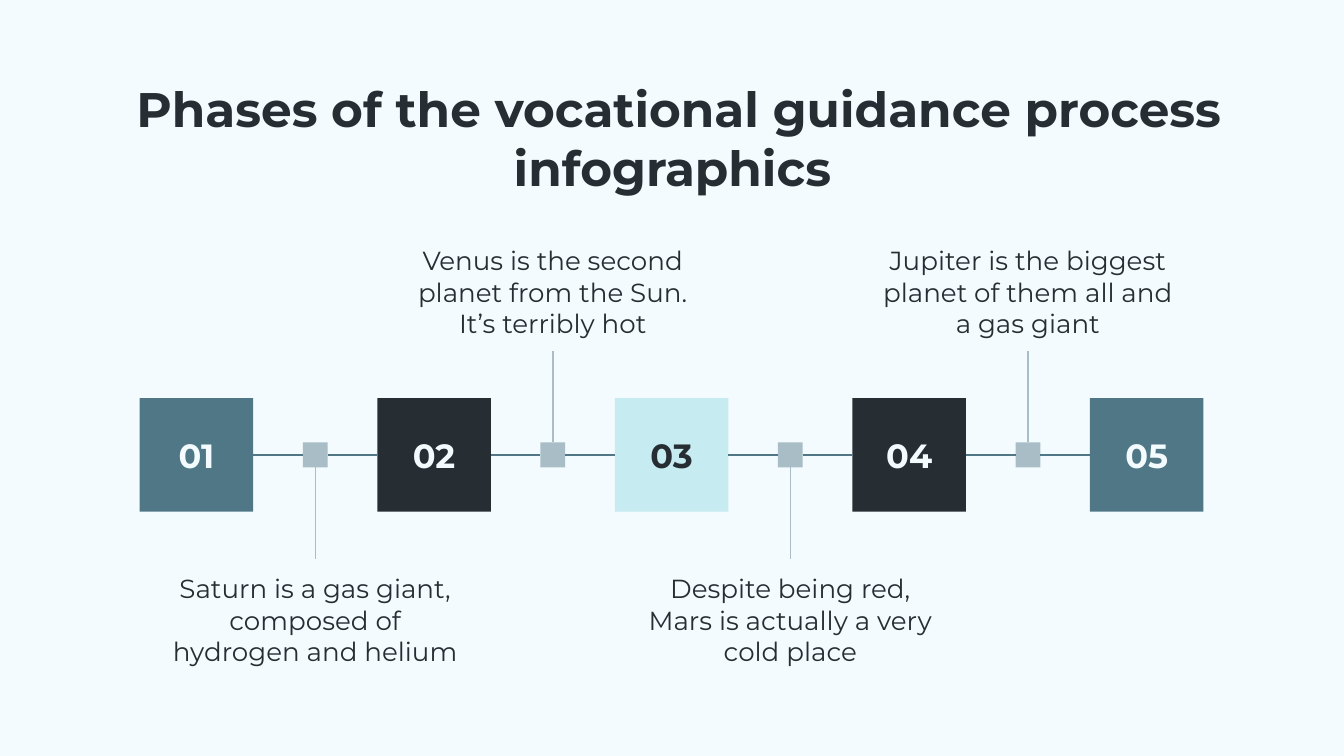
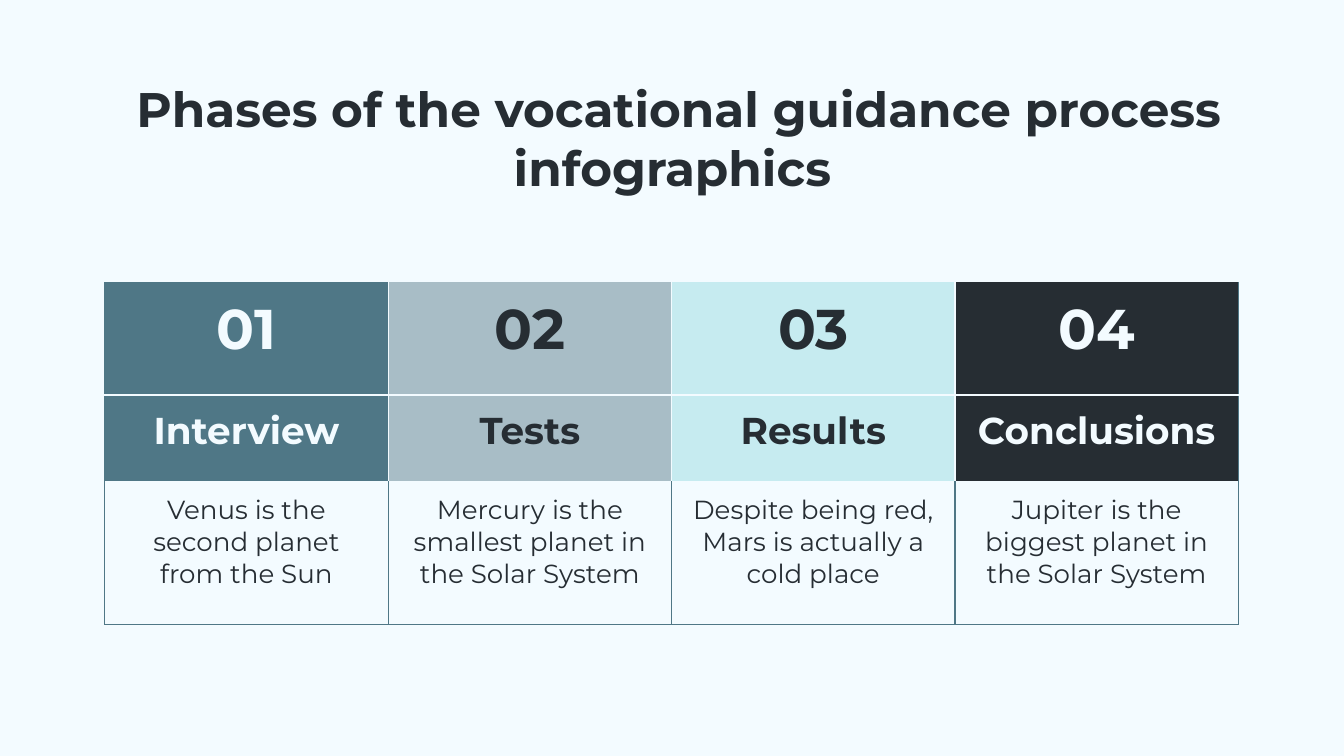
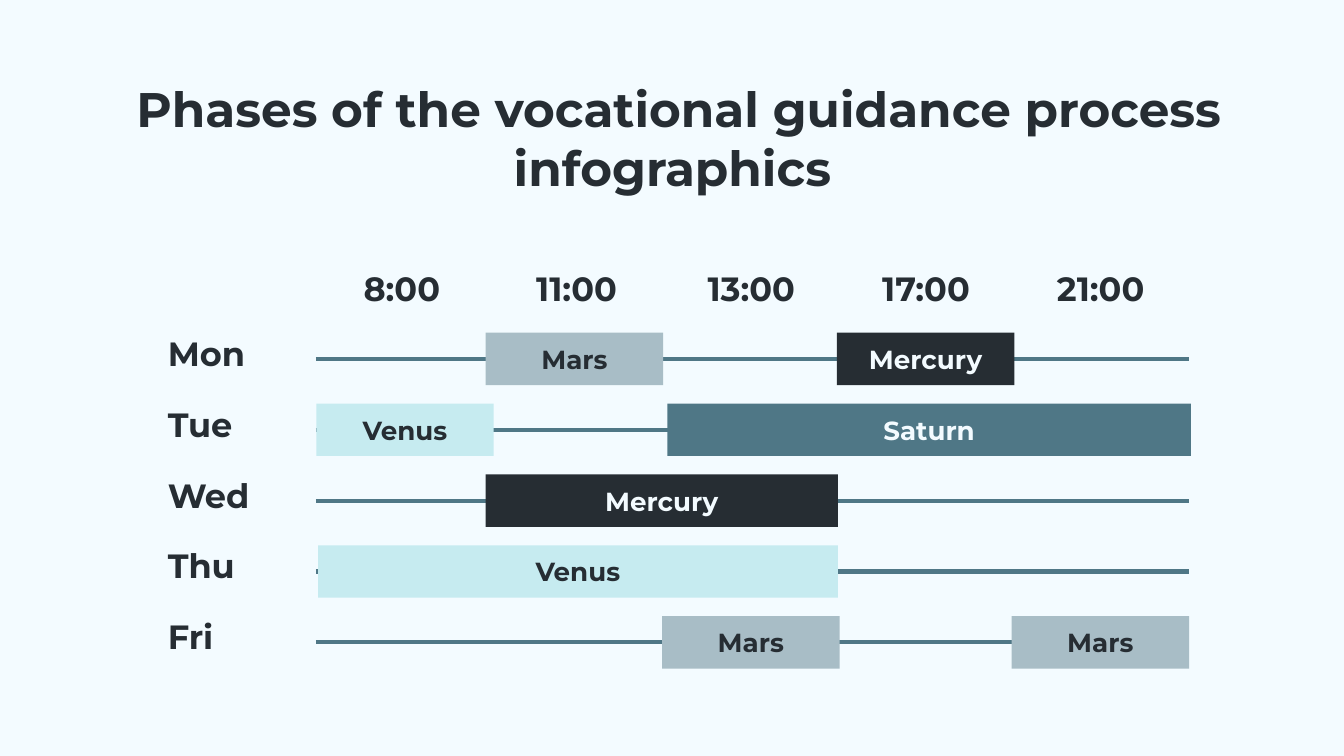
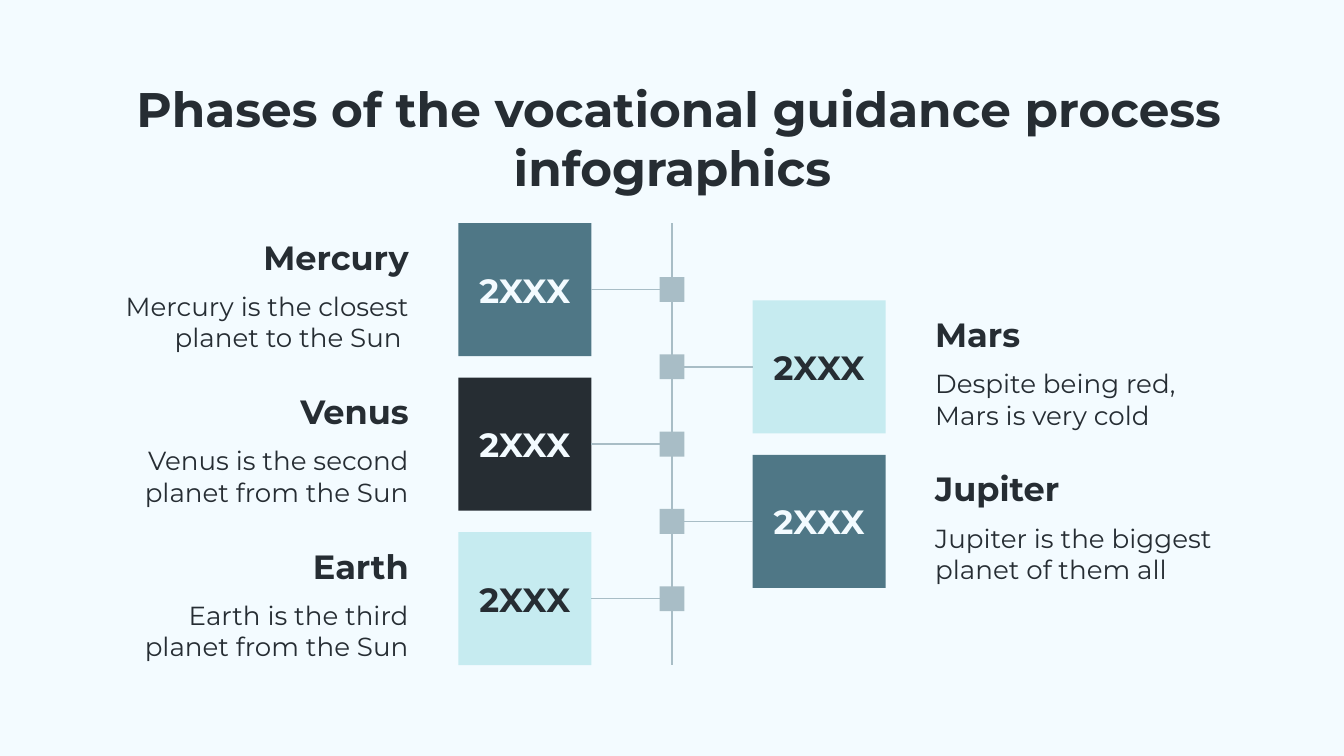
from dataclasses import dataclass

from lxml import etree
from pptx import Presentation
from pptx import util as u
from pptx.dml.color import RGBColor
from pptx.enum import shapes, text
from pptx.oxml.ns import qn


@dataclass(frozen=True)
class Theme:
    font: str = "Montserrat"
    paper: str = "F3FBFF"
    ink: str = "262D33"
    teal: str = "4F7786"
    gray: str = "A8BDC6"
    aqua: str = "C6EBF0"
    title: int = 26
    number: int = 30
    heading: int = 20
    label: int = 18
    body: int = 14
    thin: float = 0.75
    medium: float = 1.5
    thick: float = 2.25

    def on(self, fill):
        return self.paper if fill in (self.teal, self.ink) else self.ink


@dataclass(frozen=True)
class Box:
    left: float
    top: float
    width: float
    height: float

    def inside(self, left, top, width, height):
        return Box(self.left + left, self.top + top, width, height)

    def emu(self):
        return [grid(n) for n in (self.left, self.top, self.width, self.height)]


THEME = Theme()
CELL = 0.25
SLIDE = Box(0, 0, 40, 22.5)
TITLE_BOX = SLIDE.inside(3.16, 1.96, 33.72, 3.92)
TITLE = " Phases of the vocational guidance process infographics"
MARKER = 0.74
TOP, LEFT, BOTTOM, RIGHT = range(4)
START, CENTER, END = text.PP_ALIGN.LEFT, text.PP_ALIGN.CENTER, text.PP_ALIGN.RIGHT
UPPER, MIDDLE = text.MSO_ANCHOR.TOP, text.MSO_ANCHOR.MIDDLE
MARGINS = {f"margin_{side}": u.Inches(0.1) for side in ("left", "right", "top", "bottom")}


def grid(cells):
    return u.Inches(cells * CELL)


def apply(target, values):
    for name, value in values.items():
        setattr(target, name, value)


def write(frame, words, size, color=THEME.ink, bold=False, align=CENTER):
    paragraph = frame.paragraphs[0]
    paragraph.text = words
    paragraph.alignment = align
    apply(paragraph.font, {"name": THEME.font, "size": u.Pt(size), "bold": bold})
    paragraph.font.color.rgb = RGBColor.from_string(color)


def add_text(slide, box, words, size, anchor=UPPER, **style):
    shape = slide.shapes.add_textbox(*box.emu())
    apply(shape.text_frame, {**MARGINS, "word_wrap": True, "vertical_anchor": anchor})
    write(shape.text_frame, words, size, **style)
    return shape


def add_block(slide, box, fill, words="", size=THEME.label,
              kind=shapes.MSO_SHAPE.RECTANGLE):
    shape = slide.shapes.add_shape(kind, *box.emu())
    shape.shadow.inherit = False
    shape.fill.solid()
    shape.fill.fore_color.rgb = RGBColor.from_string(fill)
    shape.line.fill.background()
    if words:
        apply(shape.text_frame, {**MARGINS, "word_wrap": True, "vertical_anchor": MIDDLE})
        write(shape.text_frame, words, size, THEME.on(fill), bold=True)
    return shape


def add_line(slide, color, weight, box=Box(0, 0, 0, 0)):
    left, top, width, height = box.emu()
    line = slide.shapes.add_connector(
        shapes.MSO_CONNECTOR.STRAIGHT, left, top, left + width, top + height)
    line.line.color.rgb = RGBColor.from_string(color)
    line.line.width = u.Pt(weight)
    etree.SubElement(line.element.spPr, qn("a:effectLst"))
    return line


def join(slide, first, first_side, second, second_side, color):
    line = add_line(slide, color, THEME.thin)
    line.begin_connect(first, first_side)
    line.end_connect(second, second_side)


def add_borders(cell, colors):
    properties = cell._tc.get_or_add_tcPr()
    for side in "LRTB":
        border = etree.SubElement(
            properties, qn(f"a:ln{side}"), w=str(u.Pt(THEME.thin)))
        if side in colors:
            fill = etree.SubElement(border, qn("a:solidFill"))
            etree.SubElement(fill, qn("a:srgbClr"), val=colors[side])
        else:
            etree.SubElement(border, qn("a:noFill"))


def draw_timeline(slide, box):
    fills = [THEME.teal, THEME.ink, THEME.aqua, THEME.ink, THEME.teal]
    notes = [
        "Saturn is a gas giant, composed of hydrogen and helium",
        "Venus is the second planet from the Sun. It’s terribly hot",
        "Despite being red, Mars is actually a very cold place",
        "Jupiter is the biggest planet of them all and a gas giant",
    ]
    size, note_width, note_height = 3.38, 9.44, 3.56
    pitch = (box.width - size) / len(notes)
    middle = box.height / 2
    squares = [
        add_block(slide, box.inside(i * pitch, middle - size / 2, size, size),
                  fill, f"{i + 1:02}")
        for i, fill in enumerate(fills)
    ]
    for i, note in enumerate(notes):
        center = size / 2 + (i + 0.5) * pitch
        below = i % 2 == 0
        note_top = box.height - note_height if below else 0
        label = add_text(
            slide, box.inside(center - note_width / 2, note_top, note_width, note_height),
            note, THEME.body)
        marker = add_block(
            slide, box.inside(center - MARKER / 2, middle - MARKER / 2, MARKER, MARKER),
            THEME.gray)
        join(slide, squares[i], RIGHT, marker, LEFT, THEME.teal)
        join(slide, marker, RIGHT, squares[i + 1], LEFT, THEME.teal)
        marker_side, label_side = (BOTTOM, TOP) if below else (TOP, BOTTOM)
        join(slide, marker, marker_side, label, label_side, THEME.gray)


def draw_phase_table(slide, box):
    phases = [
        ("Interview", "Venus is the second planet from the Sun", THEME.teal),
        ("Tests", "Mercury is the smallest planet in the Solar System", THEME.gray),
        ("Results", "Despite being red, Mars is actually a cold place", THEME.aqua),
        ("Conclusions", "Jupiter is the biggest planet in the Solar System", THEME.ink),
    ]
    sizes = [THEME.number, THEME.heading, THEME.body]
    heights = [3.36, 2.56, 4.28]
    last = len(phases) - 1
    table = slide.shapes.add_table(len(sizes), len(phases), *box.emu()).table
    apply(table, {"first_row": False, "horz_banding": False})
    for row, height in zip(table.rows, heights):
        row.height = grid(height)
    for j, (name, note, fill) in enumerate(phases):
        table.columns[j].width = grid(box.width / len(phases))
        for i, words in enumerate((f"{j + 1:02}", name, note)):
            cell = table.cell(i, j)
            header = i < 2
            inner = THEME.paper if header else THEME.teal
            borders = {
                "L": inner if j else THEME.teal,
                "R": inner if j < last else THEME.teal,
                "B": THEME.teal if i else THEME.paper,
            }
            if i == 1:
                borders["T"] = THEME.paper
            add_borders(cell, borders)
            if header:
                cell.fill.solid()
                cell.fill.fore_color.rgb = RGBColor.from_string(fill)
            else:
                cell.fill.background()
            apply(cell, MARGINS)
            write(cell.text_frame, words, sizes[i],
                  THEME.on(fill) if header else THEME.ink, bold=header)


def draw_schedule(slide, box):
    hours = ["8:00", "11:00", "13:00", "17:00", "21:00"]
    days = {
        "Mon": [("Mars", 0.98, 1, THEME.gray), ("Mercury", 2.99, 1, THEME.ink)],
        "Tue": [("Venus", 0.01, 1, THEME.aqua), ("Saturn", 2.02, 2.98, THEME.teal)],
        "Wed": [("Mercury", 0.98, 2, THEME.ink)],
        "Thu": [("Venus", 0.02, 2.96, THEME.aqua)],
        "Fri": [("Mars", 1.99, 1, THEME.gray), ("Mars", 3.99, 1, THEME.gray)],
    }
    day_width, label_height, bar_height = 3.56, 1.92, 1.56
    hours_left, first_line, pitch = 4.76, 3.08, 2.11
    column = (box.width - hours_left) / len(hours)
    for i, hour in enumerate(hours):
        add_text(slide, box.inside(hours_left + i * column, 0, column, label_height),
                 hour, THEME.label, MIDDLE, bold=True)
    for i, (day, bars) in enumerate(days.items()):
        middle = first_line + i * pitch
        add_text(slide, box.inside(0, middle - 1.18, day_width, label_height),
                 day, THEME.label, bold=True, align=START)
        add_line(slide, THEME.teal, THEME.thick,
                 box.inside(hours_left + 0.04, middle, column * len(hours), 0))
        for name, start, span, fill in bars:
            bar = add_block(
                slide,
                box.inside(hours_left + start * column, middle - bar_height / 2,
                           span * column + 0.08, bar_height),
                fill, name, THEME.body, shapes.MSO_SHAPE.ROUNDED_RECTANGLE)
            bar.adjustments[0] = 0


def draw_spine(slide, box):
    planets = [
        ("Mercury", "Mercury is the closest planet to the Sun ", THEME.teal),
        ("Mars", "Despite being red, Mars is very cold", THEME.aqua),
        ("Venus", "Venus is the second planet from the Sun", THEME.ink),
        ("Jupiter", "Jupiter is the biggest planet of them all", THEME.teal),
        ("Earth", "Earth is the third planet from the Sun", THEME.aqua),
    ]
    size, gap, note_width, name_height = 3.96, 2.4, 9.4, 1.6
    center = box.width / 2
    pitch = (box.height - size) / (len(planets) - 1)
    add_line(slide, THEME.gray, THEME.medium, box.inside(center, 0, 0, box.height))
    for i, (name, note, fill) in enumerate(planets):
        top = i * pitch
        if i % 2:
            square_left, note_left = center + gap, box.width - note_width
            align, marker_side, square_side = START, RIGHT, LEFT
        else:
            square_left, note_left = center - gap - size, 0
            align, marker_side, square_side = END, LEFT, RIGHT
        add_text(slide, box.inside(note_left, top + name_height, note_width,
                                   size - name_height),
                 note, THEME.body, align=align)
        add_text(slide, box.inside(note_left, top, note_width, name_height),
                 name, THEME.label, bold=True, align=align)
        square = add_block(slide, box.inside(square_left, top, size, size), fill, "2XXX")
        marker = add_block(
            slide, box.inside(center - MARKER / 2, top + (size - MARKER) / 2,
                              MARKER, MARKER), THEME.gray)
        join(slide, marker, marker_side, square, square_side, THEME.gray)


def add_slide(presentation, draw, box):
    slide = presentation.slides.add_slide(presentation.slide_layouts[6])
    slide.background.fill.solid()
    slide.background.fill.fore_color.rgb = RGBColor.from_string(THEME.paper)
    add_text(slide, TITLE_BOX, TITLE, THEME.title, bold=True)
    draw(slide, box)


def main():
    presentation = Presentation()
    apply(presentation, {"slide_width": grid(SLIDE.width),
                         "slide_height": grid(SLIDE.height)})
    add_slide(presentation, draw_timeline, SLIDE.inside(4.16, 6.88, 31.66, 13.32))
    add_slide(presentation, draw_phase_table, SLIDE.inside(3.12, 8.4, 33.74, 10.2))
    add_slide(presentation, draw_schedule, SLIDE.inside(4.6, 7.6, 30.76, 12.3))
    add_slide(presentation, draw_spine, SLIDE.inside(3.16, 6.64, 33.68, 13.16))
    presentation.save("out.pptx")


if __name__ == "__main__":
    main()
